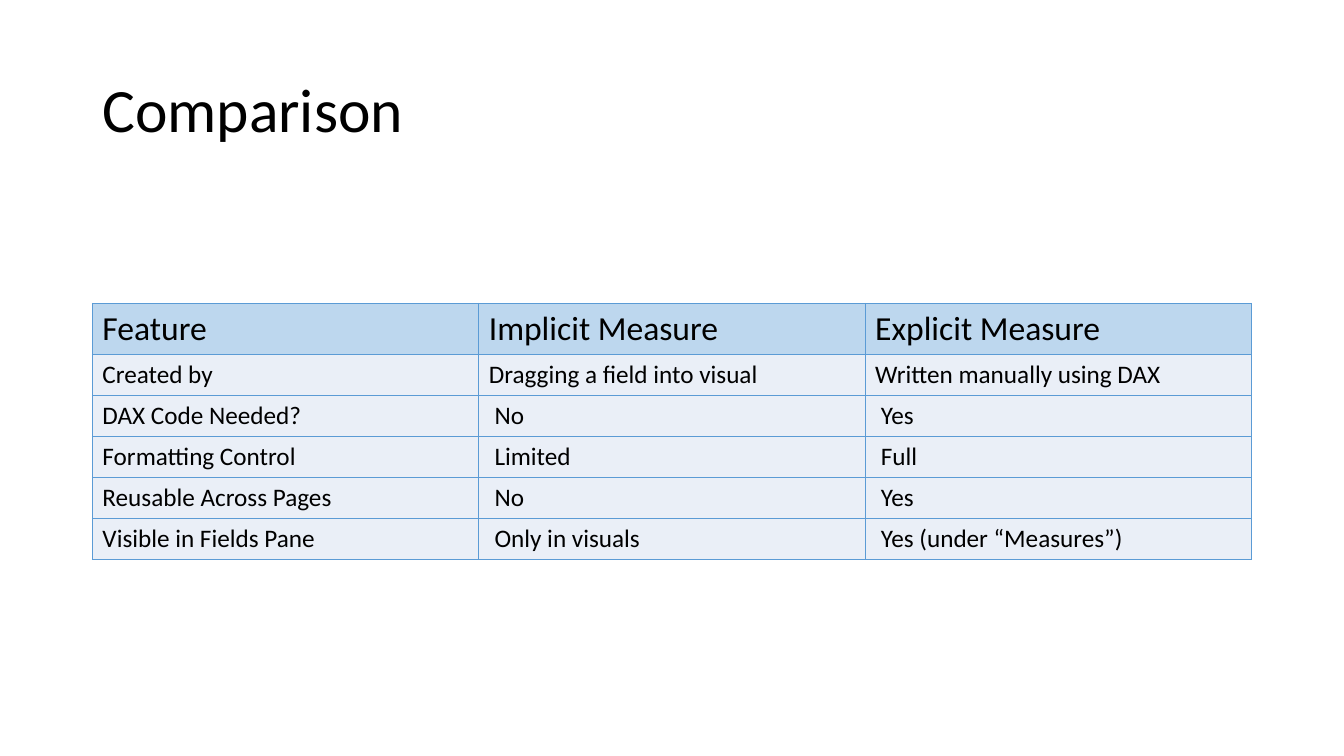
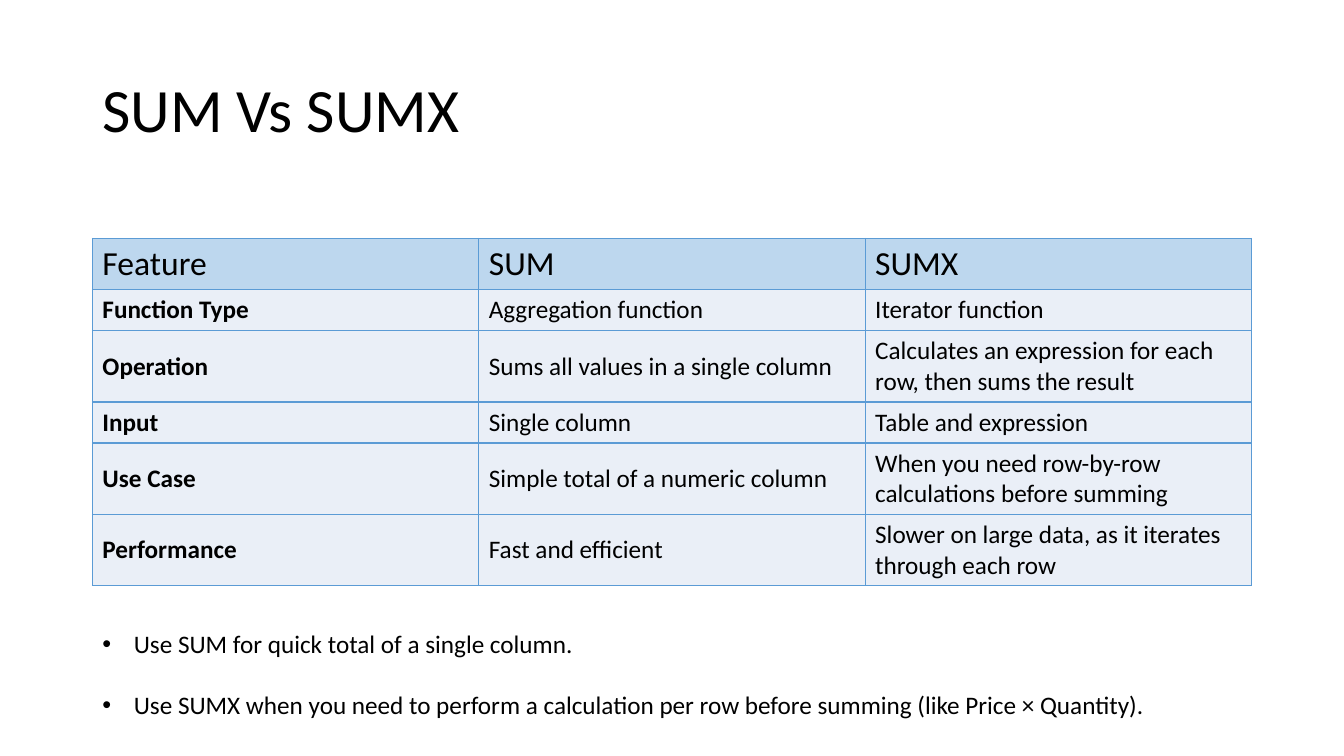
from pptx import Presentation
from pptx.dml.color import RGBColor
from pptx.enum.text import MSO_ANCHOR as Anchor
from pptx.oxml.ns import qn
from pptx.util import Pt
from lxml.etree import SubElement

# Shared look
PX = 9525  # EMU in one px, 96 px to the inch
FONT = "Calibri"
BLACK = RGBColor(0x00, 0x00, 0x00)
HEADER_BLUE = RGBColor(0xBD, 0xD7, 0xEE)
BODY_BLUE = RGBColor(0xEA, 0xEF, 0xF7)
BORDER_BLUE = RGBColor(0x5B, 0x9B, 0xD5)
TITLE_SIZE, HEADER_SIZE, BODY_SIZE = 44, 24, 18

# Shared grid, in px
LEFT, COLUMN_WIDTH = 88, 368
CONTENT_WIDTH = 3 * COLUMN_WIDTH
HEADER_HEIGHT, LINE_HEIGHT, TWO_LINE_HEIGHT = 49, 39, 68
BULLET_INDENT = 30

MEASURES = [
    ("Feature", "Implicit Measure", "Explicit Measure"),
    ("Created by", "Dragging a field into visual", "Written manually using DAX"),
    ("DAX Code Needed?", " No", " Yes"),
    ("Formatting Control", " Limited", " Full"),
    ("Reusable Across Pages", " No", " Yes"),
    ("Visible in Fields Pane", " Only in visuals", " Yes (under “Measures”)"),
]
FUNCTIONS = [
    ("Feature", "SUM", "SUMX"),
    ("Function Type", "Aggregation function", "Iterator function"),
    ("Operation", "Sums all values in a single column",
     "Calculates an expression for each row, then sums the result"),
    ("Input", "Single column", "Table and expression"),
    ("Use Case", "Simple total of a numeric column",
     "When you need row-by-row calculations before summing"),
    ("Performance", "Fast and efficient",
     "Slower on large data, as it iterates through each row"),
]
ADVICE = [
    "Use SUM for quick total of a single column.",
    "Use SUMX when you need to perform a calculation per row before summing "
    "(like Price × Quantity).",
]


def px(*lengths):
    return [length * PX for length in lengths]


def add_run(paragraph, text, size, bold=False):
    run = paragraph.add_run()
    run.text = text
    font = run.font
    font.name, font.size, font.bold = FONT, Pt(size), bold
    font.color.rgb = BLACK


def add_frame(slide, left, top, width, height, anchor):
    frame = slide.shapes.add_textbox(*px(left, top, width, height)).text_frame
    frame.word_wrap = True
    frame.vertical_anchor = anchor
    return frame


def add_title(slide, text):
    frame = add_frame(slide, LEFT, 38, CONTENT_WIDTH, 139, Anchor.MIDDLE)
    heading = frame.paragraphs[0]
    heading.line_spacing = 0.9
    add_run(heading, text, TITLE_SIZE)


def add_borders(cell):
    properties = cell._tc.get_or_add_tcPr()
    for side in ("a:lnL", "a:lnR", "a:lnT", "a:lnB"):
        line = SubElement(properties, qn(side), w=str(Pt(1)))
        fill = SubElement(line, qn("a:solidFill"))
        SubElement(fill, qn("a:srgbClr"), val=str(BORDER_BLUE))


def fill_cell(cell, text, size, color, bold):
    add_borders(cell)
    cell.fill.solid()
    cell.fill.fore_color.rgb = color
    cell.vertical_anchor = Anchor.MIDDLE
    add_run(cell.text_frame.paragraphs[0], text, size, bold)


def add_comparison(slide, top, rows, two_line_rows=(), bold_labels=False):
    heights = [HEADER_HEIGHT] + [
        TWO_LINE_HEIGHT if index in two_line_rows else LINE_HEIGHT
        for index in range(1, len(rows))
    ]
    table = slide.shapes.add_table(
        len(rows), len(rows[0]), *px(LEFT, top, CONTENT_WIDTH, sum(heights))
    ).table
    table.horz_banding = False
    for column in table.columns:
        column.width = COLUMN_WIDTH * PX
    for r, (texts, height) in enumerate(zip(rows, heights)):
        table.rows[r].height = height * PX
        size, color = (BODY_SIZE, BODY_BLUE) if r else (HEADER_SIZE, HEADER_BLUE)
        for c, text in enumerate(texts):
            bold = bold_labels and r > 0 and c == 0
            fill_cell(table.cell(r, c), text, size, color, bold)


def add_bullets(slide, top, items):
    frame = add_frame(slide, LEFT, top, 1174, 97, Anchor.TOP)
    for index, text in enumerate(items):
        item = frame.add_paragraph() if index else frame.paragraphs[0]
        if index:
            item.space_before = Pt(22)
        properties = item._p.get_or_add_pPr()
        properties.set("marL", str(BULLET_INDENT * PX))
        properties.set("indent", str(-BULLET_INDENT * PX))
        SubElement(properties, qn("a:buFont"), typeface="Arial")
        SubElement(properties, qn("a:buChar"), char="•")
        add_run(item, text, BODY_SIZE)


def main():
    deck = Presentation()
    deck.slide_width, deck.slide_height = px(1280, 720)
    blank = deck.slide_layouts[6]

    # Implicit and explicit measures
    measures = deck.slides.add_slide(blank)
    add_title(measures, "Comparison")
    add_comparison(measures, 289, MEASURES)

    # SUM and SUMX
    functions = deck.slides.add_slide(blank)
    add_title(functions, "SUM Vs SUMX")
    add_comparison(functions, 227, FUNCTIONS, two_line_rows=(2, 4, 5), bold_labels=True)
    add_bullets(functions, 594, ADVICE)

    deck.save("out.pptx")


if __name__ == "__main__":
    main()
